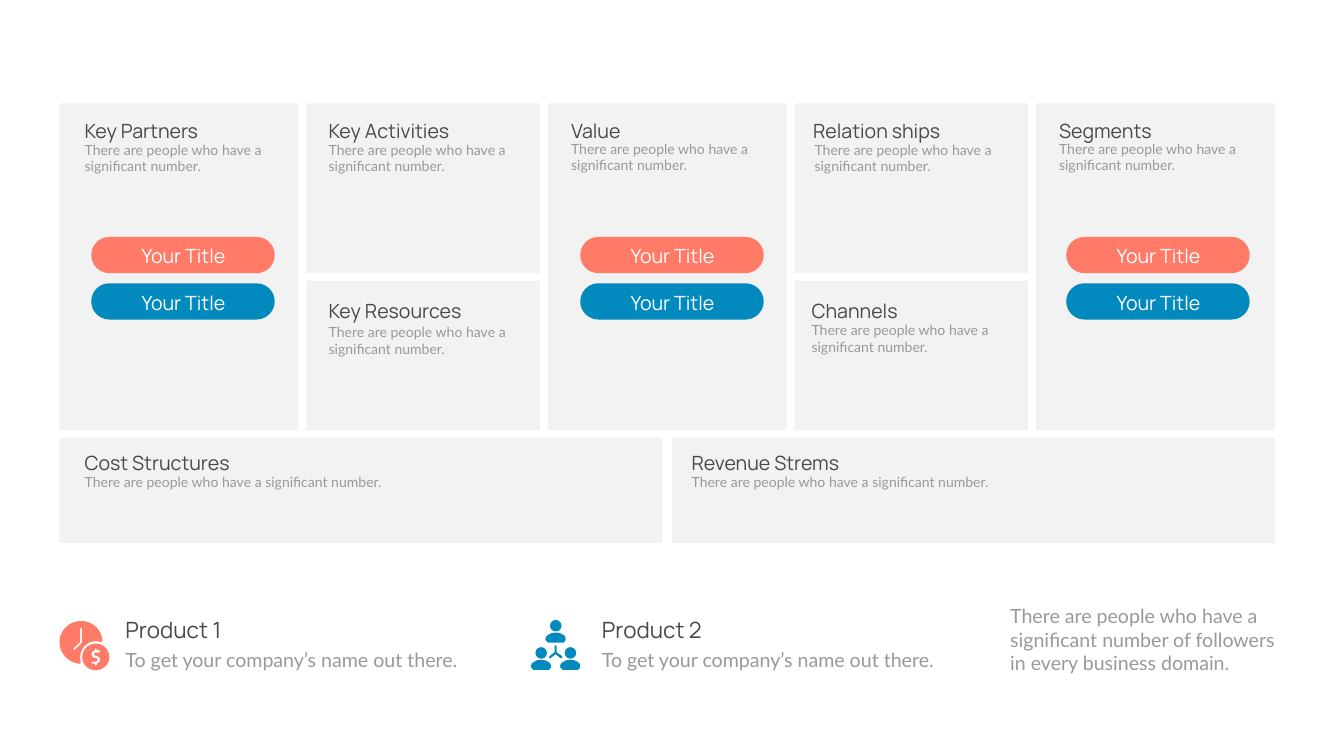
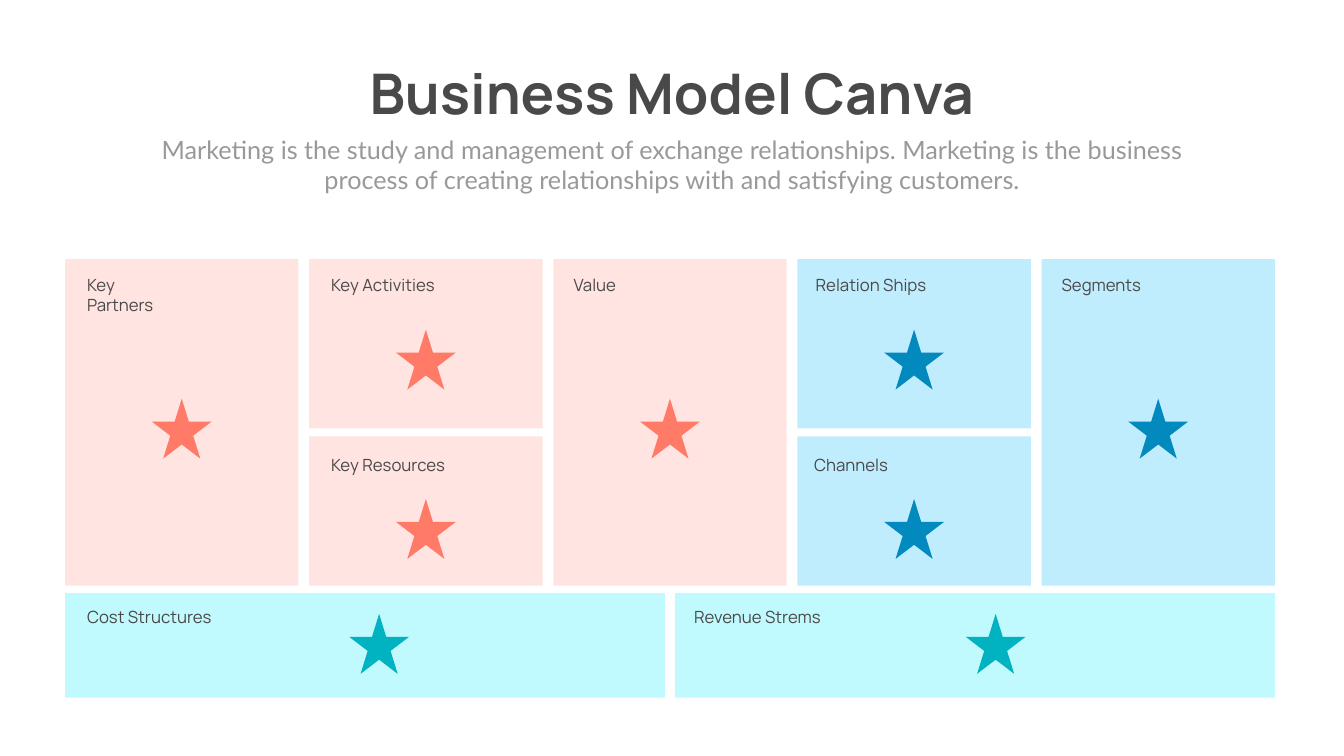
from dataclasses import dataclass, field, replace
from math import ceil, dist
from typing import Any

from pptx import Presentation
from pptx.dml.color import RGBColor
from pptx.enum.shapes import MSO_SHAPE
from pptx.enum.text import MSO_ANCHOR, MSO_AUTO_SIZE, PP_ALIGN
from pptx.util import Inches, Pt

ROUNDED = MSO_SHAPE.ROUNDED_RECTANGLE
STAR = MSO_SHAPE.STAR_5_POINT
OVAL = MSO_SHAPE.OVAL
LEFT, CENTER = PP_ALIGN.LEFT, PP_ALIGN.CENTER
TOP, GROW = MSO_ANCHOR.TOP, MSO_AUTO_SIZE.SHAPE_TO_FIT_TEXT

# Colours
INK = RGBColor(0x49, 0x49, 0x49)
MUTED = RGBColor(0x99, 0x99, 0x99)
WHITE = RGBColor(0xFF, 0xFF, 0xFF)
PALE_GREY = RGBColor(0xF2, 0xF2, 0xF2)
CORAL = RGBColor(0xFF, 0x7A, 0x67)
BLUE = RGBColor(0x02, 0x89, 0xBD)
TEAL = RGBColor(0x01, 0xB2, 0xC0)
PALE_CORAL = RGBColor(0xFF, 0xE4, 0xE1)
PALE_BLUE = RGBColor(0xC0, 0xED, 0xFE)
PALE_TEAL = RGBColor(0xC0, 0xFA, 0xFF)

SLIDE_WIDTH, SLIDE_HEIGHT = 26.66, 15
TITLE_ONLY, BLANK = 5, 6
CURVE_STRIDE = 8  # hundredths of an inch between points along a curve

# Wording
NOTE_TEXT = "There are people who have a significant number."
FOLLOWERS = ("There are people who have a significant number of followers "
             "in every business domain.")
TAGLINE = "To get your company’s name out there."
INTRO = ("Marketing is the study and management of exchange relationships. "
         "Marketing is the business process of creating relationships with "
         "and satisfying customers.")


@dataclass(frozen=True)
class Box:
    left: float
    top: float
    width: float
    height: float

    def emu(self) -> tuple[int, ...]:
        return tuple(Inches(v) for v in
                     (self.left, self.top, self.width, self.height))


@dataclass(frozen=True)
class Style:
    font: str
    size: int
    color: RGBColor
    align: Any = LEFT
    bold: bool = False


HEADING = Style("Manrope", 28, INK)
SMALL_HEADING = replace(HEADING, size=24)
PRODUCT = replace(HEADING, size=32)
PILL_LABEL = replace(HEADING, color=WHITE, align=CENTER)
TITLE = replace(HEADING, size=80, align=CENTER, bold=True)
NOTE = Style("Lato", 20, MUTED)
BODY = replace(NOTE, size=28)
SUBTITLE = replace(NOTE, size=36, align=CENTER)


# The canvas: five columns over two rows, then two wide panels in a foot row
TALL, UPPER, LOWER, FOOT = range(4)
ROW_HEIGHTS = {TALL: 6.49, UPPER: 3.37, LOWER: 2.97, FOOT: 2.08}
ROW_GAP = 0.15
FOOT_GAP = 0.2
HEADING_TOPS = {TALL: 2.31, UPPER: 2.31, LOWER: 5.89, FOOT: 8.89}
NOTE_WIDTHS = {TALL: 3.84, UPPER: 3.84, LOWER: 3.88, FOOT: 6.29}
STAR_DROPS = {TALL: 2.77, UPPER: 1.4, LOWER: 1.24, FOOT: 0.41}
STAR_SIZE = 1.19


@dataclass(frozen=True)
class Panel:
    heading: str
    column: int
    row: int
    text_left: float
    widths: tuple[float, float]  # heading width on the first and second slide
    note_drop: float
    pale: RGBColor
    strong: RGBColor
    note_shift: float = 0
    star_shift: float = 0


PANELS = (
    Panel("Key Partners", 0, TALL, 1.58, (3.02, 1.83), 0.44, PALE_CORAL, CORAL),
    Panel("Key Activities", 1, UPPER, 6.42, (3.45, 2.75), 0.44, PALE_CORAL, CORAL),
    Panel("Key Resources", 1, LOWER, 6.42, (3.48, 3.3), 0.48, PALE_CORAL, CORAL),
    Panel("Value", 2, TALL, 11.23, (2.39, 2.39), 0.42, PALE_CORAL, CORAL),
    Panel("Relation ships", 3, UPPER, 16.03, (3.45, 2.75), 0.44, PALE_BLUE, BLUE,
          note_shift=0.03),
    Panel("Channels", 3, LOWER, 16, (2.41, 2.41), 0.44, PALE_BLUE, BLUE),
    Panel("Segments", 4, TALL, 20.91, (2.39, 2.39), 0.42, PALE_BLUE, BLUE),
    Panel("Cost Structures", 0, FOOT, 1.58, (3.8, 3.03), 0.46, PALE_TEAL, TEAL,
          star_shift=0.28),
    Panel("Revenue Strems", 1, FOOT, 13.62, (3.8, 3.03), 0.46, PALE_TEAL, TEAL,
          star_shift=0.41),
)


@dataclass(frozen=True)
class Board:
    left: float
    top: float
    columns: tuple[float, ...]
    heading: Style
    text_shift: tuple[float, float] = (0, 0)
    row_trim: float = 0
    renamed: dict[str, str] = field(default_factory=dict)
    right: float = 25.29

    def panel_box(self, panel: Panel) -> Box:
        total = self.right - self.left
        tall, height = (ROW_HEIGHTS[row] - self.row_trim for row in (TALL, panel.row))
        if panel.row == FOOT:
            width = (total - FOOT_GAP) / 2
            return Box(self.left + panel.column * (width + FOOT_GAP),
                       self.top + tall + ROW_GAP, width, height)
        gap = (total - sum(self.columns)) / (len(self.columns) - 1)
        left = self.left + sum(self.columns[:panel.column]) + panel.column * gap
        drop = tall - height if panel.row == LOWER else 0
        return Box(left, self.top + drop, self.columns[panel.column], height)

    def heading_box(self, panel: Panel, slide_index: int) -> Box:
        across, down = self.text_shift
        return Box(panel.text_left + across, HEADING_TOPS[panel.row] + down,
                   panel.widths[slide_index], 0.56)


PLAIN_BOARD = Board(1.18, 2.05, (4.74, 4.63, 4.74, 4.63, 4.74), HEADING)
COLOR_BOARD = Board(1.29, 5.14, (4.63,) * 5, SMALL_HEADING, (0.05, 3.09), 0.01,
                    {"Relation ships": "Relation Ships"})

# Icon outlines, in hundredths of an inch from the icon's corner
CLOCK = """M 41 72 C 41 54 55 40 72 40 C 75 40 79 41 82 42 C 83 42 85 41 85 40
L 85 39 C 84 17 65 0 43 0 C 19 0 0 19 0 42 C 0 65 18 83 40 85 C 41 85 42 85 42 84
C 43 83 43 83 42 82 C 41 79 41 75 41 72 Z
M 31 57 C 31 58 30 58 29 58 C 29 58 28 58 28 57 C 27 57 27 55 28 54 L 41 42 L 41 16
C 41 14 42 13 43 13 C 44 13 45 14 45 16 L 45 42 C 45 43 45 44 44 44 L 31 57 Z"""
COIN = """M 72 45 C 57 45 45 57 45 72 C 45 86 57 98 72 98 C 87 98 99 86 99 72
C 99 57 87 45 72 45 Z
M 71 69 L 73 69 C 77 69 81 73 81 77 C 81 81 78 84 74 85 L 74 87 C 74 89 73 90 72 90
C 71 90 70 89 70 87 L 70 85 L 65 85 C 64 85 63 84 63 83 C 63 82 64 81 65 81 L 73 81
C 75 81 76 79 76 77 C 76 75 75 74 73 74 L 71 74 C 67 74 63 70 63 66 C 63 62 66 59 70 58
L 70 56 C 70 55 71 54 72 54 C 73 54 74 55 74 56 L 74 58 L 79 58 C 80 58 81 59 81 60
C 81 62 80 63 79 63 L 71 63 C 69 63 68 64 68 66 C 68 68 69 69 71 69 Z"""
SHOULDERS = """M 5 45 L 36 45 C 38 45 40 43 40 40 L 40 38 C 40 35 39 31 36 30
C 32 27 26 25 20 25 C 14 25 8 27 5 30 C 2 31 0 35 0 38 L 0 40 C 0 43 2 45 5 45 Z"""
FORK = """M 60 76 C 61 76 62 76 62 76 C 63 75 63 73 62 72 L 51 64 L 51 52
C 51 51 50 50 49 50 C 48 50 47 51 47 52 L 47 64 L 37 72 C 36 73 35 75 36 76
C 37 76 39 76 39 76 L 49 68 L 59 76 L 60 76 Z"""


# Drawing functions
def paint(shape: Any, color: RGBColor) -> None:
    shape.shadow.inherit = False
    shape.fill.solid()
    shape.fill.fore_color.rgb = color
    shape.line.fill.background()


def add_filled(shapes: Any, kind: Any, box: Box, color: RGBColor,
               rounding: float | None = None) -> None:
    shape = shapes.add_shape(kind, *box.emu())
    if rounding is not None:
        shape.adjustments[0] = rounding
    paint(shape, color)


def write(holder: Any, text: str, style: Style, wrap: bool = True) -> None:
    frame = holder.text_frame
    frame.text = text
    paragraph = frame.paragraphs[0]
    formats = {
        frame: {"word_wrap": wrap, "auto_size": GROW, "vertical_anchor": TOP},
        paragraph: {"alignment": style.align, "space_before": Pt(0)},
        paragraph.runs[0].font: {"name": style.font, "size": Pt(style.size),
                                 "bold": style.bold},
    }
    for target, values in formats.items():
        for attribute, value in values.items():
            setattr(target, attribute, value)
    paragraph.runs[0].font.color.rgb = style.color


def add_text(shapes: Any, box: Box, text: str, style: Style) -> None:
    write(shapes.add_textbox(*box.emu()), text, style)


def contours(outline: str) -> list[list[tuple[float, float]]]:
    """Turn move, line and curve commands into closed lists of points."""
    result: list[list[tuple[float, float]]] = []
    tokens = iter(outline.split())
    for command in tokens:
        if command == "Z":
            continue
        count = 3 if command == "C" else 1
        points = [(float(next(tokens)), float(next(tokens))) for _ in range(count)]
        if command == "M":
            result.append(points)
        elif command == "L":
            result[-1] += points
        else:
            corners = [result[-1][-1], *points]
            steps = ceil(dist(corners[0], corners[-1]) / CURVE_STRIDE)
            for step in range(1, steps + 1):
                t = step / steps
                weights = ((1 - t) ** 3, 3 * t * (1 - t) ** 2, 3 * t * t * (1 - t), t ** 3)
                result[-1].append(tuple(sum(w * c[axis] for w, c in zip(weights, corners))
                                        for axis in (0, 1)))
    return result


def add_outline(shapes: Any, left: float, top: float, outline: str,
                color: RGBColor) -> None:
    loops = [[(Inches(left + x / 100), Inches(top + y / 100)) for x, y in loop]
             for loop in contours(outline)]
    builder = shapes.build_freeform(*loops[0][0])
    for index, loop in enumerate(loops):
        if index:
            builder.move_to(*loop[0])
        builder.add_line_segments(loop[1:], close=True)
    paint(builder.convert_to_shape(), color)


def add_pills(slide: Any, left: float) -> None:
    group = slide.shapes.add_group_shape().shapes
    for top, color in ((4.7, CORAL), (5.62, BLUE)):
        add_filled(group, ROUNDED, Box(left, top, 3.64, 0.72), color, 0.5)
    for top in (4.79, 5.73):
        add_text(group, Box(left + 0.32, top, 3.02, 0.53), "Your Title", PILL_LABEL)


def add_team_icon(slide: Any, left: float, top: float) -> None:
    group = slide.shapes.add_group_shape().shapes
    for across, down in ((0.29, 0), (0, 0.54), (0.58, 0.54)):
        x, y = left + across, top + down
        add_filled(group, OVAL, Box(x + 0.09, y, 0.23, 0.23), BLUE)
        add_outline(group, x, y, SHOULDERS, BLUE)
    add_outline(group, left, top, FORK, BLUE)


def build_plain_canvas(slide: Any) -> None:
    board = PLAIN_BOARD
    for panel in PANELS:
        add_filled(slide.shapes, ROUNDED, board.panel_box(panel), PALE_GREY, 0)
    for panel in PANELS:
        box = board.heading_box(panel, 0)
        add_text(slide.shapes, box, panel.heading, board.heading)
        add_text(slide.shapes, Box(box.left + panel.note_shift, box.top + panel.note_drop,
                                   NOTE_WIDTHS[panel.row], 0.56), NOTE_TEXT, NOTE)
    for left in (1.81, 11.51, 21.15):
        add_pills(slide, left)

    # Products and closing remark
    for left, product in ((2.39, "Product 1"), (11.84, "Product 2")):
        add_text(slide.shapes, Box(left, 12.17, 4.99, 0.64), product, PRODUCT)
        add_text(slide.shapes, Box(left, 12.81, 7.12, 0.57), TAGLINE, BODY)
    add_text(slide.shapes, Box(19.94, 11.94, 5.54, 1.51), FOLLOWERS, BODY)
    clock_icon = slide.shapes.add_group_shape().shapes
    for outline in (CLOCK, COIN):
        add_outline(clock_icon, 1.18, 12.32, outline, CORAL)
    add_team_icon(slide, 10.53, 12.3)


def build_color_canvas(slide: Any) -> None:
    board = COLOR_BOARD
    title = slide.shapes.title
    title.left, title.top, title.width, title.height = Box(6.73, 1.12, 13.2, 1.45).emu()
    write(title, "Business Model Canva", TITLE, wrap=False)
    add_text(slide.shapes, Box(2.92, 2.61, 20.82, 1.31), INTRO, SUBTITLE)

    canvas = slide.shapes.add_group_shape().shapes
    for panel in PANELS:
        add_filled(canvas, ROUNDED, board.panel_box(panel), panel.pale, 0)
    for panel in PANELS:
        heading = board.renamed.get(panel.heading, panel.heading)
        add_text(canvas, board.heading_box(panel, 1), heading, board.heading)
    for panel in PANELS:
        box = board.panel_box(panel)
        left = box.left + (box.width - STAR_SIZE) / 2 + panel.star_shift
        add_filled(slide.shapes, STAR, Box(left, box.top + STAR_DROPS[panel.row],
                                           STAR_SIZE, STAR_SIZE), panel.strong)


def main() -> None:
    deck = Presentation()
    deck.slide_width, deck.slide_height = Inches(SLIDE_WIDTH), Inches(SLIDE_HEIGHT)
    for layout, build in ((BLANK, build_plain_canvas), (TITLE_ONLY, build_color_canvas)):
        build(deck.slides.add_slide(deck.slide_layouts[layout]))
    deck.save("out.pptx")


if __name__ == "__main__":
    main()
